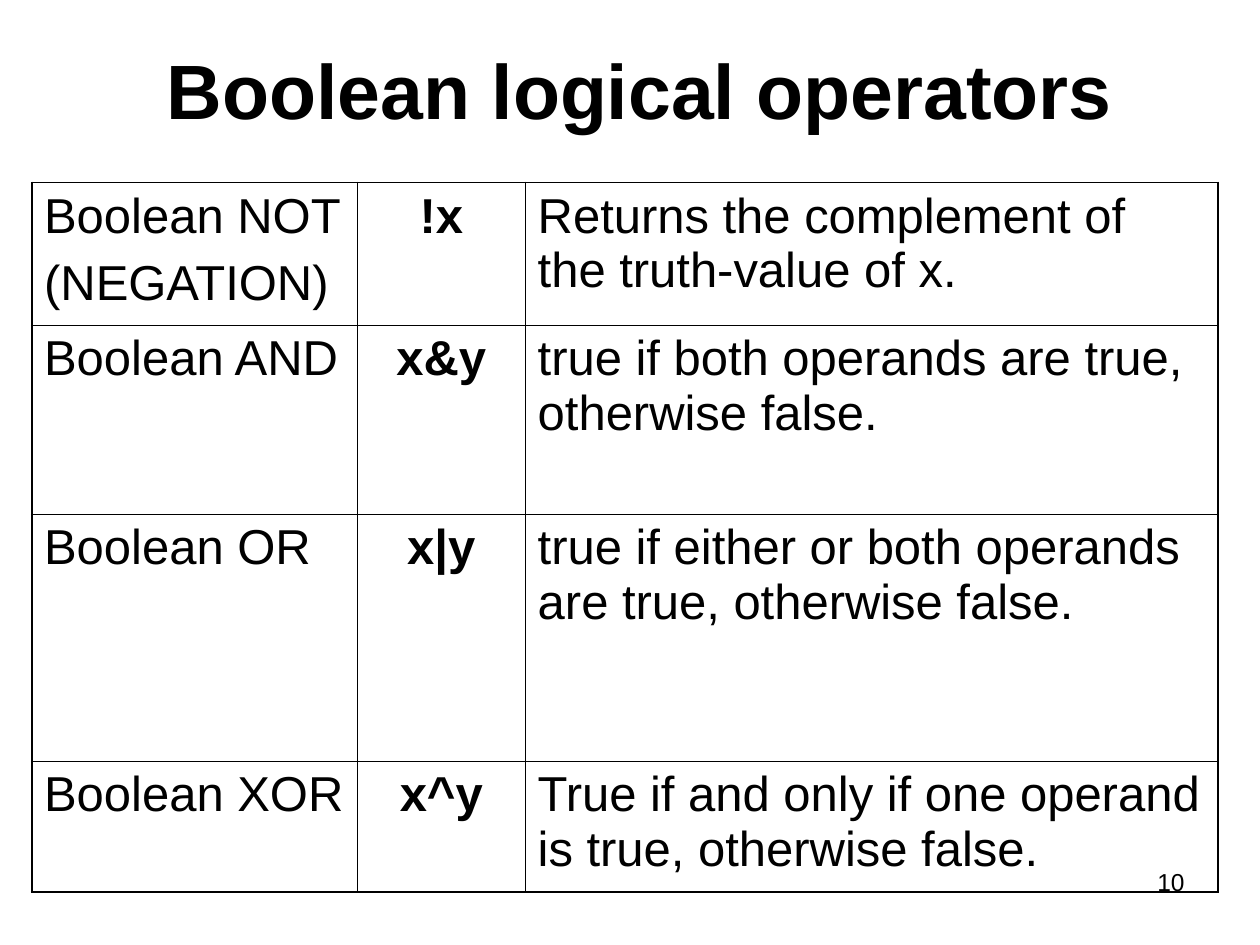
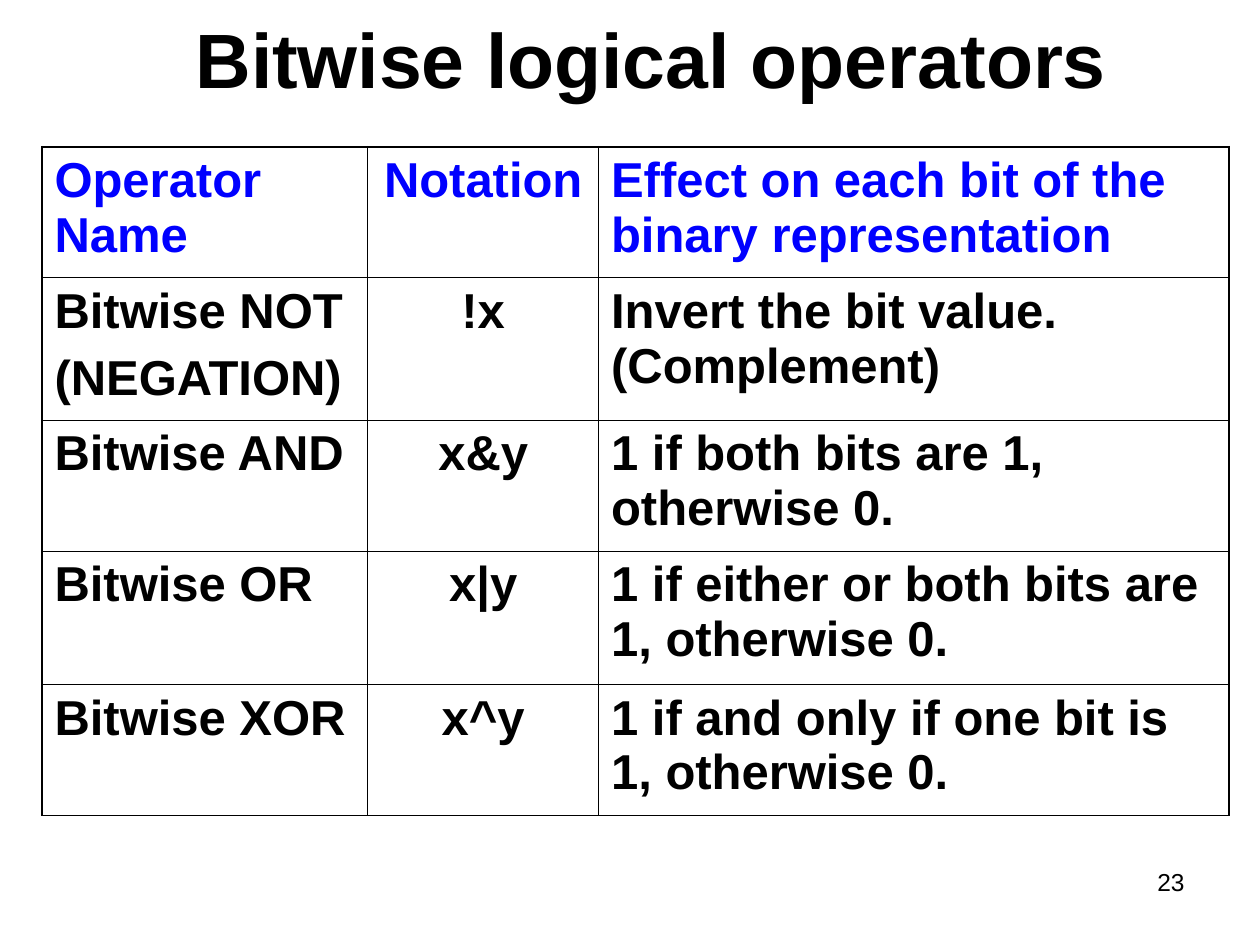
from lxml import etree
from pptx import Presentation
from pptx import util as u
from pptx.dml.color import RGBColor
from pptx.enum import text
from pptx.oxml import ns

FONT = "Arial"
BLACK = RGBColor(0, 0, 0)
BLUE = RGBColor(0, 0, 255)
OUTER_LINE = u.Pt(1.08)
INNER_LINE = u.Pt(0.45)
MARGIN_X = u.Cm(0.25)
MARGIN_Y = u.Cm(0.13)
TITLE_ONLY = 5
NOTATION_COLUMN = 1

BOOLEAN_ROWS = [
    ("Boolean NOT\n(NEGATION)", "!x", "Returns the complement of the truth-value of x."),
    ("Boolean AND", "x&y", "true if both operands are true, otherwise false."),
    ("Boolean OR", "x|y", "true if either or both operands are true, otherwise false."),
    ("Boolean XOR", "x^y", "True if and only if one operand is true, otherwise false."),
]
BITWISE_ROWS = [
    ("Operator Name", "Notation", "Effect on each bit of the binary representation"),
    ("Bitwise NOT\n(NEGATION)", "!x", "Invert the bit value.\v(Complement)"),
    ("Bitwise AND", "x&y", "1 if both bits are 1, otherwise 0."),
    ("Bitwise OR", "x|y", "1 if either or both bits are 1, otherwise 0."),
    ("Bitwise XOR", "x^y", "1 if and only if one bit is 1, otherwise 0."),
]


def format_text(frame, size, align, bold=False, color=BLACK, space_before=0):
    for para in frame.paragraphs:
        para.alignment = align
        para.space_before = u.Pt(space_before)
        for span in para.runs:
            span.font.name = FONT
            span.font.size = u.Pt(size)
            span.font.bold = bold
            span.font.color.rgb = color


def set_margins(target):
    target.margin_left = target.margin_right = MARGIN_X
    target.margin_top = target.margin_bottom = MARGIN_Y


def place(box, left, top, width, height):
    box.left, box.top = u.Cm(left), u.Cm(top)
    box.width, box.height = u.Cm(width), u.Cm(height)


def add_page(deck, title, left, top, height):
    page = deck.slides.add_slide(deck.slide_layouts[TITLE_ONLY])
    box = page.shapes.title
    place(box, left, top, 21.59, height)
    frame = box.text_frame
    frame.text = title
    frame.word_wrap = True
    frame.auto_size = text.MSO_AUTO_SIZE.NONE
    frame.vertical_anchor = text.MSO_ANCHOR.MIDDLE
    set_margins(frame)
    format_text(frame, 44, text.PP_ALIGN.CENTER, bold=True)
    return page


def add_page_number(page, number):
    box = page.shapes.add_textbox(u.Cm(18.21), u.Cm(17.35), u.Cm(5.92), u.Cm(1.32))
    frame = box.text_frame
    frame.text = str(number)
    frame.word_wrap = True
    set_margins(frame)
    format_text(frame, 14, text.PP_ALIGN.RIGHT)


def set_borders(cell, outer_sides):
    properties = cell._tc.get_or_add_tcPr()
    for index, side in enumerate("LRTB"):
        line = etree.Element(ns.qn(f"a:ln{side}"))
        line.set("w", str(OUTER_LINE if side in outer_sides else INNER_LINE))
        fill = etree.SubElement(line, ns.qn("a:solidFill"))
        etree.SubElement(fill, ns.qn("a:srgbClr")).set("val", str(BLACK))
        properties.insert(index, line)


def add_operator_table(page, rows, left, top, widths, heights, all_bold=False, has_header=False):
    frame = page.shapes.add_table(
        len(rows), len(widths), u.Cm(left), u.Cm(top), u.Cm(sum(widths)), u.Cm(sum(heights))
    )
    table = frame.table
    table.first_row = has_header
    table.horz_banding = False
    for column, width in zip(table.columns, widths):
        column.width = u.Cm(width)
    for row_index, (row, height) in enumerate(zip(rows, heights)):
        table.rows[row_index].height = u.Cm(height)
        color = BLUE if has_header and row_index == 0 else BLACK
        for column_index, content in enumerate(row):
            is_notation = column_index == NOTATION_COLUMN
            cell = table.cell(row_index, column_index)
            cell.text_frame.text = content
            cell.fill.background()
            set_margins(cell)
            align = text.PP_ALIGN.CENTER if is_notation else text.PP_ALIGN.LEFT
            format_text(cell.text_frame, 28, align, all_bold or is_notation, color, 7)
            edges = {
                "L": column_index == 0,
                "R": column_index == len(widths) - 1,
                "T": row_index == 0,
                "B": row_index == len(rows) - 1,
            }
            set_borders(cell, [side for side, is_outer in edges.items() if is_outer])


def main():
    deck = Presentation()
    deck.slide_width, deck.slide_height = u.Cm(25.4), u.Cm(19.05)

    page = add_page(deck, "Boolean logical operators", 2.11, 0.84, 1.91)
    add_operator_table(
        page, BOOLEAN_ROWS, 0.64, 3.68, [6.56, 3.39, 13.97], [2.87, 3.81, 4.98, 2.64]
    )
    add_page_number(page, 10)

    page = add_page(deck, "Bitwise logical operators", 2.34, 0.43, 1.47)
    add_operator_table(
        page, BITWISE_ROWS, 0.85, 2.96, [6.56, 4.66, 12.7], [2.64, 2.87, 2.64, 2.69, 2.64],
        all_bold=True, has_header=True,
    )
    add_page_number(page, 23)

    deck.save("out.pptx")


if __name__ == "__main__":
    main()
